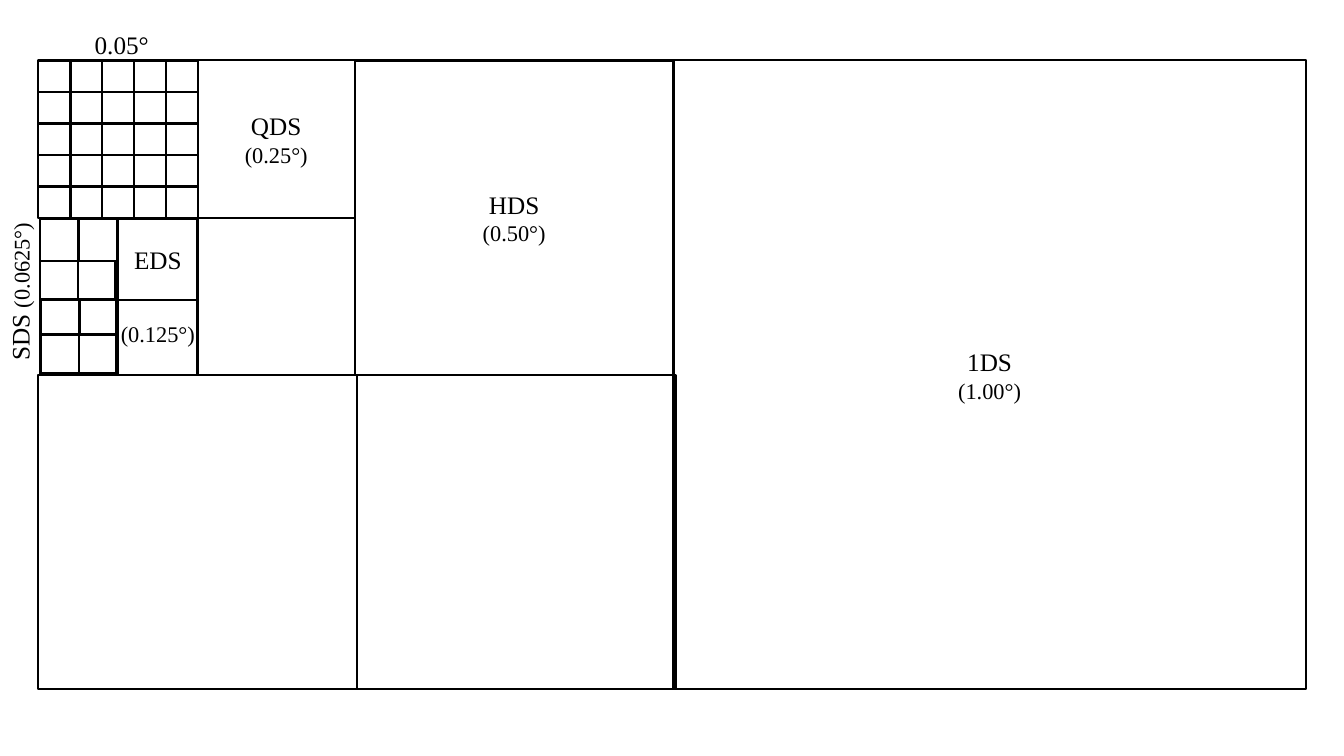
from pptx import Presentation
from pptx.dml.color import RGBColor
from pptx.enum.shapes import MSO_SHAPE as Shape
from pptx.enum.text import MSO_ANCHOR as Anchor, PP_ALIGN as Align
from pptx.util import Inches, Pt

BLACK = RGBColor(0, 0, 0)
FONT = "Times New Roman"
NAME_SIZE, DEGREE_SIZE = 18, 16

GRID_LEFT, GRID_TOP = 0.38, 0.6
GRID_COUNT = 5
GRID_STEP_X, GRID_STEP_Y = 0.316, 0.3125
GRID_CELL = (0.32, 0.31)

# Each square: left, top, width, height, lines of its label
LARGE_SQUARES = [
    (1.96, 0.6, 1.56, 1.56, ["QDS", "(0.25°)"]),
    (0.4, 2.16, 1.56, 1.56, []),
    (1.96, 2.16, 1.56, 1.56, []),
    (3.52, 0.6, 3.16, 3.12, ["HDS", "(0.50°)"]),
    (0.38, 3.72, 3.16, 3.12, []),
    (3.54, 3.72, 3.16, 3.12, []),
    (6.68, 0.6, 6.27, 6.24, ["1DS", "(1.00°)"]),
]
EIGHTH_SQUARES = [
    (0.4, 2.16, 0.76, 0.81, []),
    (1.17, 2.17, 0.79, 0.81, ["EDS"]),
    (0.4, 2.98, 0.77, 0.74, []),
    (1.15, 2.98, 0.81, 0.74, []),
]
SIXTEENTH_SQUARES = [
    (0.4, 2.17, 0.37, 0.42, []),
    (0.78, 2.17, 0.38, 0.42, []),
    (0.4, 2.59, 0.37, 0.39, []),
    (0.77, 2.59, 0.37, 0.39, []),
    (0.41, 2.98, 0.37, 0.34, []),
    (0.79, 2.98, 0.38, 0.34, []),
    (0.41, 3.31, 0.37, 0.39, []),
    (0.78, 3.31, 0.37, 0.39, []),
]


def format_run(run, size):
    run.font.name = FONT
    run.font.size = Pt(size)
    run.font.color.rgb = BLACK


def add_square(shapes, left, top, width, height, lines=()):
    """Add an unfilled square, its name above its size in degrees."""
    square = shapes.add_shape(Shape.RECTANGLE, Inches(left), Inches(top),
                              Inches(width), Inches(height))
    square.shadow.inherit = False
    square.fill.background()
    square.line.color.rgb = BLACK
    square.line.width = Pt(1.5)
    if lines:
        text_frame = square.text_frame
        text_frame.text = "\n".join(lines)
        text_frame.vertical_anchor = Anchor.MIDDLE
        for paragraph, size in zip(text_frame.paragraphs, (NAME_SIZE, DEGREE_SIZE)):
            paragraph.alignment = Align.CENTER
            format_run(paragraph.runs[0], size)


def add_fine_grid(slide):
    group = slide.shapes.add_group_shape()
    for row in range(GRID_COUNT):
        for column in range(GRID_COUNT):
            add_square(group.shapes, GRID_LEFT + column * GRID_STEP_X,
                       GRID_TOP + row * GRID_STEP_Y, *GRID_CELL)


def add_label(slide, left, top, width, height, parts, rotation=0):
    """Add a one-line label from (text, size) parts."""
    label = slide.shapes.add_textbox(Inches(left), Inches(top),
                                     Inches(width), Inches(height))
    label.rotation = rotation
    label.text_frame.word_wrap = False
    paragraph = label.text_frame.paragraphs[0]
    for text, size in parts:
        run = paragraph.add_run()
        run.text = text
        format_run(run, size)


def main():
    presentation = Presentation()
    presentation.slide_width = Inches(13.33)
    presentation.slide_height = Inches(7.5)
    blank_layout = presentation.slide_layouts[6]
    slide = presentation.slides.add_slide(blank_layout)

    add_fine_grid(slide)
    for square in LARGE_SQUARES + EIGHTH_SQUARES + SIXTEENTH_SQUARES:
        add_square(slide.shapes, *square)

    add_label(slide, 0.84, 0.24, 0.79, 0.4, [("0.05°", NAME_SIZE)])
    add_label(slide, -0.62, 2.66, 1.63, 0.4,
              [("SDS ", NAME_SIZE), ("(0.0625°)", DEGREE_SIZE)], rotation=270)
    add_label(slide, 1.1, 3.13, 0.94, 0.37, [("(0.125°)", DEGREE_SIZE)])

    presentation.save("out.pptx")


if __name__ == "__main__":
    main()
